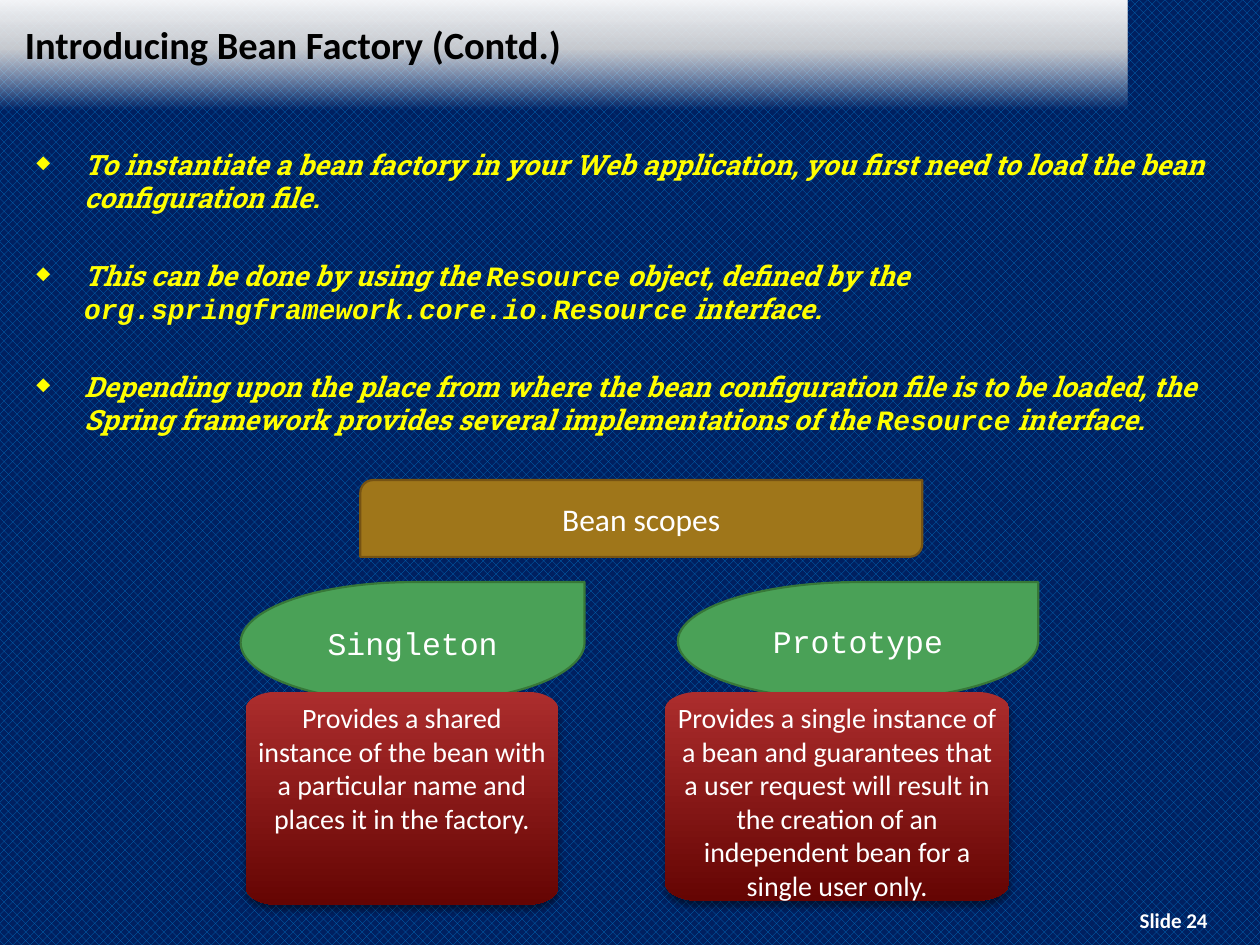
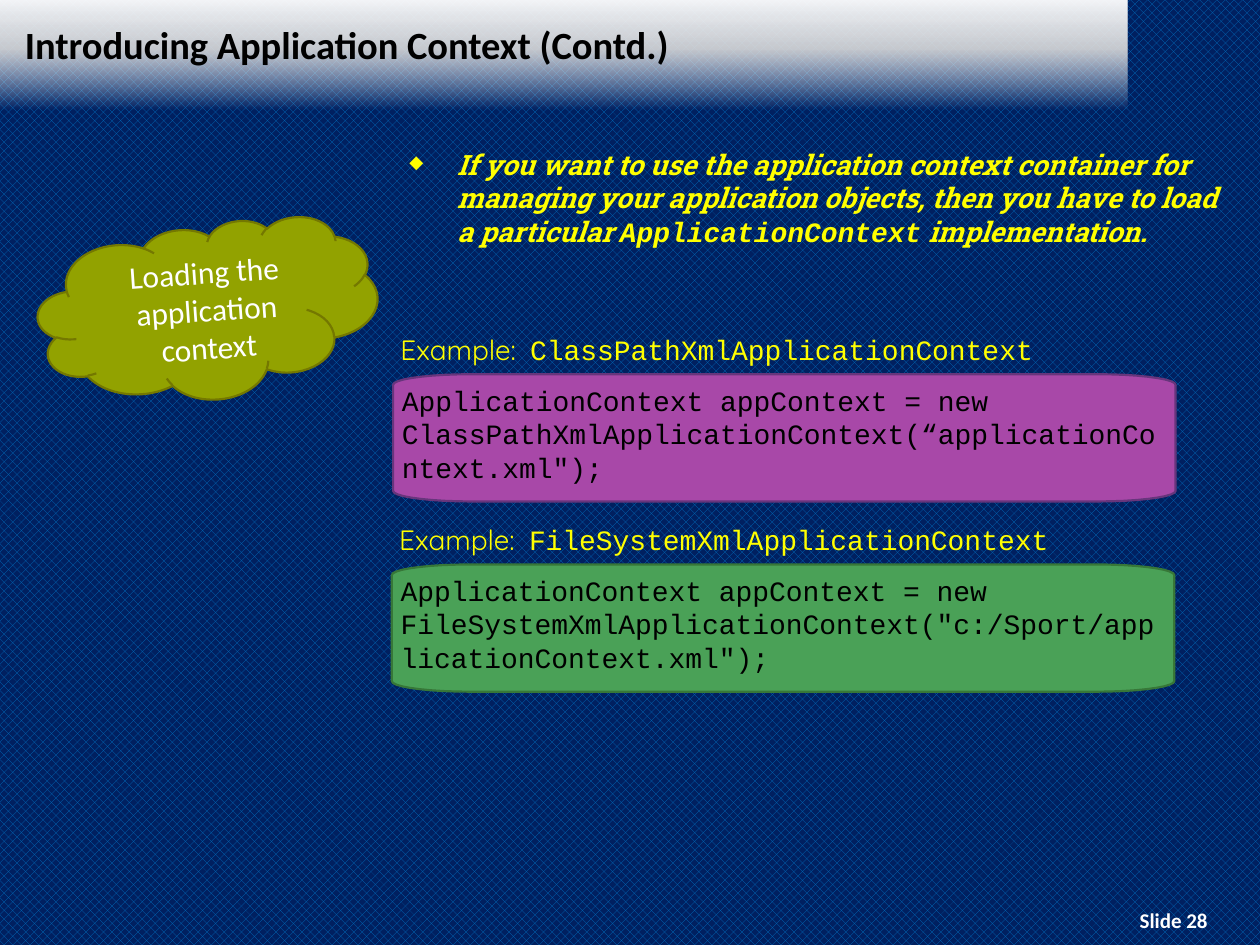
from dataclasses import dataclass
from math import cos, radians, sin
from typing import NamedTuple

from lxml import etree
from pptx import Presentation
from pptx.dml.color import RGBColor
from pptx.enum.dml import MSO_PATTERN
from pptx.enum.shapes import MSO_SHAPE
from pptx.enum.text import MSO_ANCHOR, PP_ALIGN
from pptx.oxml.ns import qn
from pptx.util import Inches, Pt

RECTANGLE, TEARDROP = MSO_SHAPE.RECTANGLE, MSO_SHAPE.TEAR
CLOUD, DIAGONAL = MSO_SHAPE.CLOUD, MSO_SHAPE.ROUND_2_DIAG_RECTANGLE
LEFT, CENTER = PP_ALIGN.LEFT, PP_ALIGN.CENTER
TOP, MIDDLE = MSO_ANCHOR.TOP, MSO_ANCHOR.MIDDLE
DOTTED = MSO_PATTERN.PERCENT_50


@dataclass(frozen=True)
class Theme:
    body: str = "Calibri"
    slab: str = "Roboto Slab"
    code: str = "Courier New"
    light: str = "Quicksand"
    title_size: int = 22
    label_size: int = 18
    text_size: int = 16
    footer_size: int = 12
    white: str = "FFFFFF"
    black: str = "000000"
    yellow: str = "FFFF00"
    pattern: tuple = ("0070C0", "002060")
    # Fill and line pairs
    green: tuple = ("4AA157", "377738")
    gold: tuple = ("9F761A", "765313")
    olive: tuple = ("92A200", "747800")
    purple: tuple = ("A848A8", "67357C")
    # Gradient stops: position, colour, opacity
    band: tuple = ((0, "FFFFFF", 0), (54, "D9D9D9", 90), (100, "FFFFFF", 95))
    red: tuple = ((0, "AC2D2D", 100), (100, "650503", 100))


THEME = Theme()


class Box(NamedTuple):
    left: float
    top: float
    width: float
    height: float

    def offset(self, dx, dy, width, height):
        return Box(self.left + dx, self.top + dy, width, height)

    def lengths(self):
        return [Inches(value) for value in self]


def rgb(code):
    return RGBColor.from_string(code)


def add_xml(parent, tag, **attributes):
    return etree.SubElement(parent, qn(tag), attributes)


def add_colour(parent, code, opacity=100):
    colour = add_xml(parent, "a:srgbClr", val=code)
    if opacity < 100:
        add_xml(colour, "a:alpha", val=str(opacity * 1000))


# Text

def add_bullet(para):
    props = para._p.get_or_add_pPr()
    props.set("marL", str(Inches(0.38)))
    props.set("indent", str(-Inches(0.38)))
    add_colour(add_xml(props, "a:buClr"), THEME.yellow)
    add_xml(props, "a:buSzPct", val="65000")
    add_xml(props, "a:buChar", char="◆")


def add_tab(para, position):
    tabs = add_xml(para._p.get_or_add_pPr(), "a:tabLst")
    add_xml(tabs, "a:tab", pos=str(Inches(position)), algn="l")


def add_outline(span, colour):
    line = etree.Element(qn("a:ln"), w=str(Pt(1)))
    add_colour(add_xml(line, "a:solidFill"), colour)
    span._r.get_or_add_rPr().insert(0, line)


def write(shape, paragraphs, size=THEME.text_size, font=THEME.body, colour=THEME.white,
          bold=False, italic=False, align=LEFT, anchor=TOP, inset=None,
          bullet=False, tab=None, gap=0, outline=None):
    """Fill a shape with text; a paragraph is a string or a list of (text, font)."""
    frame = shape.text_frame
    frame.word_wrap = True
    frame.vertical_anchor = anchor
    if inset is not None:
        frame.margin_left = frame.margin_right = Inches(inset)
        frame.margin_top = frame.margin_bottom = Inches(inset)
    if isinstance(paragraphs, str):
        paragraphs = [paragraphs]
    for index, content in enumerate(paragraphs):
        para = frame.add_paragraph() if index else frame.paragraphs[0]
        para.alignment = align
        if bullet:
            add_bullet(para)
        if tab:
            add_tab(para, tab)
        if index:
            para.space_before = Pt(gap)
        for text, face in [(content, font)] if isinstance(content, str) else content:
            span = para.add_run()
            span.text = text
            span.font.name, span.font.size = face, Pt(size)
            span.font.bold, span.font.italic = bold, italic
            span.font.color.rgb = rgb(colour)
            if outline:
                add_outline(span, outline)


def add_text(page, box, paragraphs, **text_format):
    label = page.shapes.add_textbox(*box.lengths())
    write(label, paragraphs, **text_format)
    return label


# Shapes

def paint(shape, colours):
    fill, line = colours
    shape.shadow.inherit = False
    shape.fill.solid()
    shape.fill.fore_color.rgb = rgb(fill)
    shape.line.color.rgb = rgb(line)
    shape.line.width = Pt(1.25)


def paint_gradient(shape, stops, angle):
    shape.shadow.inherit = False
    shape.line.fill.background()
    shape.fill.gradient()
    gradient = shape._element.spPr.find(qn("a:gradFill"))
    for child in list(gradient):
        gradient.remove(child)
    stop_list = add_xml(gradient, "a:gsLst")
    for position, colour, opacity in stops:
        stop = add_xml(stop_list, "a:gs", pos=str(position * 1000))
        add_colour(stop, colour, opacity)
    add_xml(gradient, "a:lin", ang=str(angle * 60000), scaled="0")


def add_shadow(shape):
    effects = shape._element.spPr.find(qn("a:effectLst"))
    shadow = add_xml(effects, "a:outerShdw", blurRad=str(Pt(4)), dist=str(Pt(3)),
                     dir=str(90 * 60000), rotWithShape="0")
    add_colour(shadow, THEME.black, 46)


def add_preset(page, kind, box, colours):
    shape = page.shapes.add_shape(kind, *box.lengths())
    paint(shape, colours)
    return shape


def add_panel(page, box):
    """Draw a box whose corners are quarter ellipses."""
    left, top, width, height = box.lengths()
    radius_x, radius_y = width / 10, height / 12
    near_x, far_x = left + radius_x, left + width - radius_x
    near_y, far_y = top + radius_y, top + height - radius_y
    centres = [(far_x, far_y), (near_x, far_y), (near_x, near_y), (far_x, near_y)]
    points = []
    for corner, (x, y) in enumerate(centres):
        for degrees in range(corner * 90, corner * 90 + 91, 10):
            turn = radians(degrees)
            points.append((round(x + radius_x * cos(turn)), round(y + radius_y * sin(turn))))
    builder = page.shapes.build_freeform(*points[0])
    builder.add_line_segments(points[1:], close=True)
    return builder.convert_to_shape()


# Parts of a slide

def add_base(deck, title, number):
    page = deck.slides.add_slide(deck.slide_layouts[6])
    band = page.shapes.add_shape(RECTANGLE, *Box(0, -0.01, 8.95, 0.88).lengths())
    paint_gradient(band, THEME.band, 270)
    add_text(page, Box(8.73, 7.15, 1.17, 0.3), f"Slide {number}",
             size=THEME.footer_size, bold=True, align=CENTER)
    add_text(page, Box(0.1, 0.09, 8.77, 0.52), title, size=THEME.title_size,
             colour=THEME.black, bold=True, anchor=MIDDLE)
    return page


def add_bullets(page, box, paragraphs):
    add_text(page, box, paragraphs, font=THEME.slab, colour=THEME.yellow,
             bold=True, italic=True, bullet=True, gap=25)


def add_scope(page, drop_box, note_box, name, note):
    drop = add_preset(page, TEARDROP, drop_box, THEME.green)
    write(drop, name, size=THEME.label_size, font=THEME.code, align=CENTER, anchor=MIDDLE)
    panel = add_panel(page, note_box)
    paint_gradient(panel, THEME.red, 90)
    add_shadow(panel)
    write(panel, note, align=CENTER, inset=0.07)


def add_cloud(page, box, text):
    cloud = add_preset(page, CLOUD, box, THEME.olive)
    label = add_text(page, box.offset(0.46, 0.23, 1.76, 0.91), text, size=THEME.label_size,
                     align=CENTER, anchor=MIDDLE, inset=0.08)
    cloud.rotation = label.rotation = 356
    page.shapes.add_group_shape([cloud, label])


def add_example(page, box, colours, class_name, code):
    panel = add_panel(page, box)
    paint(panel, colours)
    write(panel, code, font=THEME.code, colour=THEME.black, inset=0.07)
    heading = [("Example:\t", THEME.light), (class_name, THEME.code)]
    add_text(page, box.offset(-0.04, -0.38, 5.45, 0.37), [heading],
             colour=THEME.yellow, outline=THEME.yellow, tab=1.03)


# Slides

def build_bean_factory(deck):
    page = add_base(deck, "Introducing Bean Factory (Contd.)", 24)
    slab, code = THEME.slab, THEME.code
    add_bullets(page, Box(0.19, 1.12, 9.61, 2.74), [
        "To instantiate a bean factory in your Web application, you first need "
        "to load the bean configuration file.",
        [("This can be done by using the ", slab), ("Resource", code),
         (" object, defined by the ", slab),
         ("org.springframework.core.io.Resource", code), (" interface.", slab)],
        [("Depending upon the place from where the bean configuration file is to be "
          "loaded, the Spring framework provides several implementations of the ", slab),
         ("Resource", code), (" interface.", slab)],
    ])
    banner = add_preset(page, DIAGONAL, Box(2.86, 3.81, 4.46, 0.61), THEME.gold)
    write(banner, "Bean scopes", size=THEME.label_size, align=CENTER, anchor=MIDDLE)
    add_scope(page, Box(1.91, 4.62, 2.73, 0.96), Box(1.95, 5.49, 2.48, 1.69), "Singleton",
              "Provides a shared instance of the bean with a particular name and "
              "places it in the factory.")
    add_scope(page, Box(5.38, 4.62, 2.86, 0.94), Box(5.28, 5.49, 2.73, 1.66), "Prototype",
              "Provides a single instance of a bean and guarantees that a user request "
              "will result in the creation of an independent bean for a single user only.")


def build_application_context(deck):
    page = add_base(deck, "Introducing Application Context (Contd.)", 28)
    add_cloud(page, Box(0.3, 1.77, 2.7, 1.4), "Loading the application context")
    add_bullets(page, Box(3.15, 1.12, 6.63, 1.18), [
        [("If you want to use the application context container for managing your "
          "application objects, then you have to load a particular ", THEME.slab),
         ("ApplicationContext", THEME.code), (" implementation.", THEME.slab)],
    ])
    add_example(page, Box(3.12, 2.97, 6.21, 1.01), THEME.purple,
                "ClassPathXmlApplicationContext",
                "ApplicationContext appContext = new "
                "ClassPathXmlApplicationContext(“applicationContext.xml\");")
    add_example(page, Box(3.11, 4.48, 6.21, 1.01), THEME.green,
                "FileSystemXmlApplicationContext",
                "ApplicationContext appContext = new "
                "FileSystemXmlApplicationContext(\"c:/Sport/applicationContext.xml\");")


def main():
    deck = Presentation()
    deck.slide_width, deck.slide_height = Inches(10), Inches(7.5)
    # Shared dotted background
    backdrop = deck.slide_master.background.fill
    backdrop.patterned()
    backdrop.pattern = DOTTED
    backdrop.fore_color.rgb, backdrop.back_color.rgb = map(rgb, THEME.pattern)
    build_bean_factory(deck)
    build_application_context(deck)
    deck.save("out.pptx")


if __name__ == "__main__":
    main()
